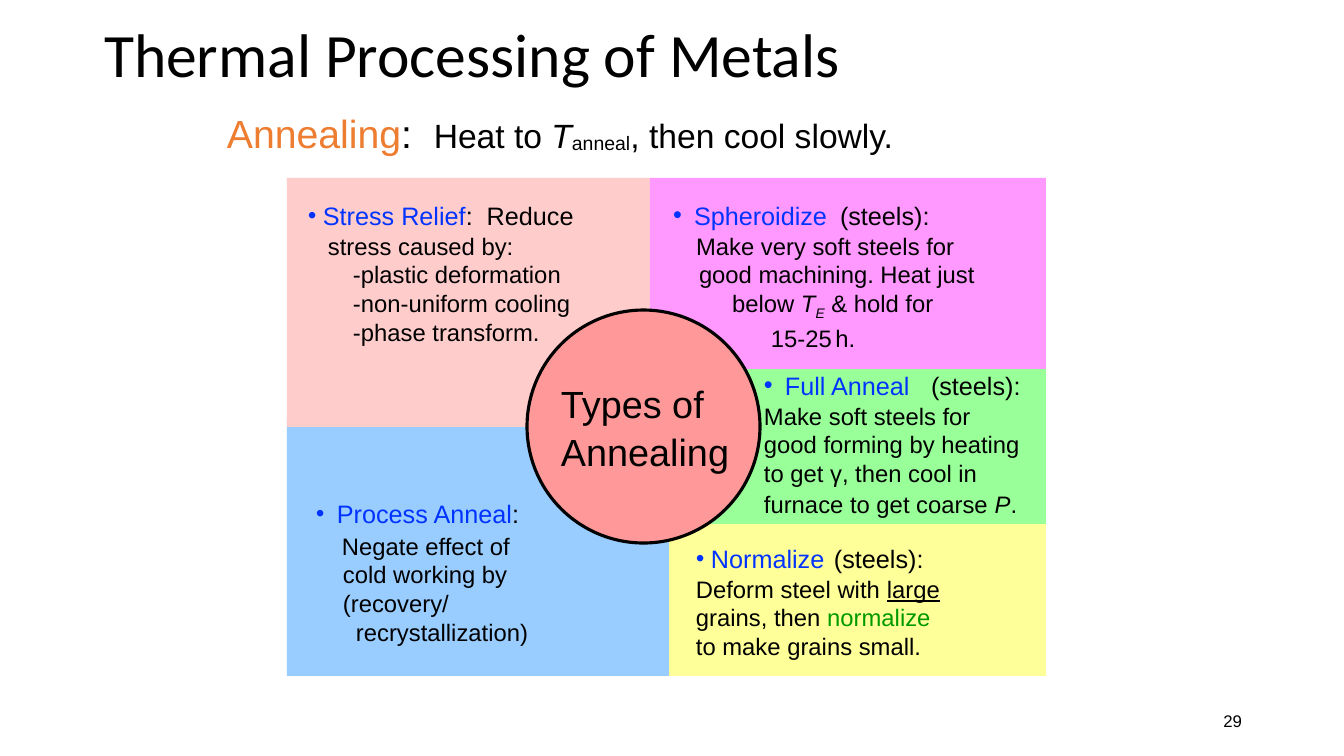
from lxml import etree
from pptx import Presentation
from pptx.dml.color import RGBColor
from pptx.enum.shapes import MSO_SHAPE
from pptx.enum.text import MSO_ANCHOR, PP_ALIGN
from pptx.oxml.ns import qn
from pptx.util import Pt

RECT, OVAL = MSO_SHAPE.RECTANGLE, MSO_SHAPE.OVAL
TOP, MID = MSO_ANCHOR.TOP, MSO_ANCHOR.MIDDLE
LEFT, RIGHT = PP_ALIGN.LEFT, PP_ALIGN.RIGHT
SCALE = 914400 / 100.8

theme = {
    "black": "000000", "orange": "ED7D31", "blue": "0033FF", "green": "009900",
    "yellow": "FFFF99", "sky": "99CCFF", "mint": "99FF99",
    "rose": "FFCCCC", "pink": "FF99FF", "coral": "FF9999",
    "title": {"size": Pt(44), "name": "Calibri"},
    "term": {"size": Pt(28)},
    "lead": {"size": Pt(24)},
    "hub": {"size": Pt(27)},
    "head": {"size": Pt(18)},
    "body": {"size": Pt(17)},
    "thin": {"size": Pt(9)},
    "page": {"size": Pt(12)},
    "slant": {"italic": True},
    "under": {"underline": True},
}


def px(n):
    return round(n * SCALE)


def write(area, paras, anchor=TOP, align=LEFT, pad=0, space=None):
    box = slide.shapes.add_textbox(*map(px, area))
    frame = box.text_frame
    form = {"word_wrap": True, "vertical_anchor": anchor, "margin_left": px(pad),
            "margin_right": px(pad), "margin_top": 0, "margin_bottom": 0}
    for key, val in form.items():
        setattr(frame, key, val)
    for i, (runs, indent, gap, mark) in enumerate(paras):
        para = frame.add_paragraph() if i else frame.paragraphs[0]
        para.alignment = align
        para.line_spacing = space
        para.space_before = Pt(gap)
        prop = para._p.get_or_add_pPr()
        prop.set("marL", str(px(indent)))
        prop.set("indent", str(px(-indent if mark else 0)))
        if mark:
            etree.SubElement(prop, qn("a:buFont")).set("typeface", mark)
            etree.SubElement(prop, qn("a:buChar")).set("char", "•")
        for text, size, color, *more in runs:
            run = para.add_run()
            run.text = text
            look = {"name": "Arial", **theme[size]}
            for word in more:
                if isinstance(word, int):
                    run._r.get_or_add_rPr().set("baseline", str(word * 1000))
                else:
                    look.update(theme[word])
            for key, val in look.items():
                setattr(run.font, key, val)
            run.font.color.rgb = RGBColor.from_string(theme[color])


deck = Presentation()
deck.slide_width, deck.slide_height = px(1344), px(756)
slide = deck.slides.add_slide(deck.slide_layouts[6])

write((950, 701, 302, 40), [([("29", "page", "black")], 0, 0, None)], MID, RIGHT, 10)
write((94, -15, 1159, 146),
      [([("Thermal Processing of Metals", "title", "black")], 0, 0, None)],
      MID, pad=10, space=0.9)
write((227, 109, 720, 47), [([
    ("Annealing", "term", "orange"), (":  ", "term", "black"),
    ("Heat to ", "lead", "black"), ("T", "lead", "black", "slant"),
    ("anneal", "lead", "black", -6), (", then cool slowly.", "lead", "black"),
], 0, 0, None)])

panels = [
    (RECT, 652, 523, 394, 153, "yellow"),
    (RECT, 287, 418, 382, 258, "sky"),
    (RECT, 652, 362, 394, 162, "mint"),
    (RECT, 287, 178, 363, 249, "rose"),
    (RECT, 650, 178, 396, 191, "pink"),
    (OVAL, 527, 310, 233, 233, "coral"),
]
for kind, x, y, w, h, color in panels:
    panel = slide.shapes.add_shape(kind, px(x), px(y), px(w), px(h))
    panel.shadow.inherit = False
    panel.fill.solid()
    panel.fill.fore_color.rgb = RGBColor.from_string(theme[color])
    if kind == OVAL:
        panel.line.color.rgb = RGBColor.from_string(theme["black"])
        panel.line.width = Pt(2.25)
    else:
        panel.line.fill.background()

write((561, 381, 180, 91), [
    ([("Types of", "hub", "black")], 0, 0, None),
    ([("Annealing", "hub", "black")], 0, 1.4, None),
])

blocks = [
    ((316, 498, 230, 145), "Quicksand", 21, "Process Anneal", ":", [
        ("Negate effect of", 26, 2.4),
        ("cold working by", 27, 0),
        ("(recovery/", 27, 0),
        ("recrystallization)", 40, 0),
    ]),
    ((308, 200, 290, 142), "Quicksand", 15, "Stress Relief", ":  Reduce", [
        ("stress caused by:", 20, 1),
        ("-plastic deformation", 45, 0),
        ("-non-uniform cooling", 45, 0),
        ("-phase transform.", 45, 0),
    ]),
    ((696, 543, 300, 115), "Quicksand", 15, "Normalize", 834, [
        ([("Deform steel with ", "body", "black"),
          ("large", "body", "black", "under")], 0, 1),
        ([("grains, then ", "body", "black"),
          ("normalize", "body", "green")], 0, 0),
        ("to make grains small.", 0, 0),
    ]),
    ((764, 370, 280, 145), "Arial", 21, "Full Anneal", 931, [
        ("Make soft steels for", 0, 1),
        ("good forming by heating", 0, 0),
        ("to get γ, then cool in", 0, 0),
        ([("furnace to get coarse ", "body", "black"),
          ("P", "body", "black", "slant"), (".", "body", "black")], 0, 2),
    ]),
    ((673, 200, 340, 150), "Arial", 21, "Spheroidize", 840, [
        ("Make very soft steels for", 23, 1),
        ("good machining. Heat just", 26, 0),
        ([("below ", "body", "black"), ("T", "body", "black", "slant"),
          ("E", "body", "black", "slant", -25),
          (" & hold for", "body", "black")], 59, 0),
        ([("15-25", "body", "black"), (" ", "thin", "black"),
          ("h.", "body", "black")], 98, 1.5),
    ]),
]
for area, mark, hang, name, tail, lines in blocks:
    head = [(name, "head", "blue")]
    if isinstance(tail, str):
        head.append((tail, "head", "black"))
    else:
        write((tail, area[1], 104, 30),
              [([("(steels):", "head", "black")], 0, 0, None)])
    paras = [(head, hang, 0, mark)]
    for text, indent, gap in lines:
        runs = [(text, "body", "black")] if isinstance(text, str) else text
        paras.append((runs, indent, gap, None))
    write(area, paras)

deck.save("out.pptx")
